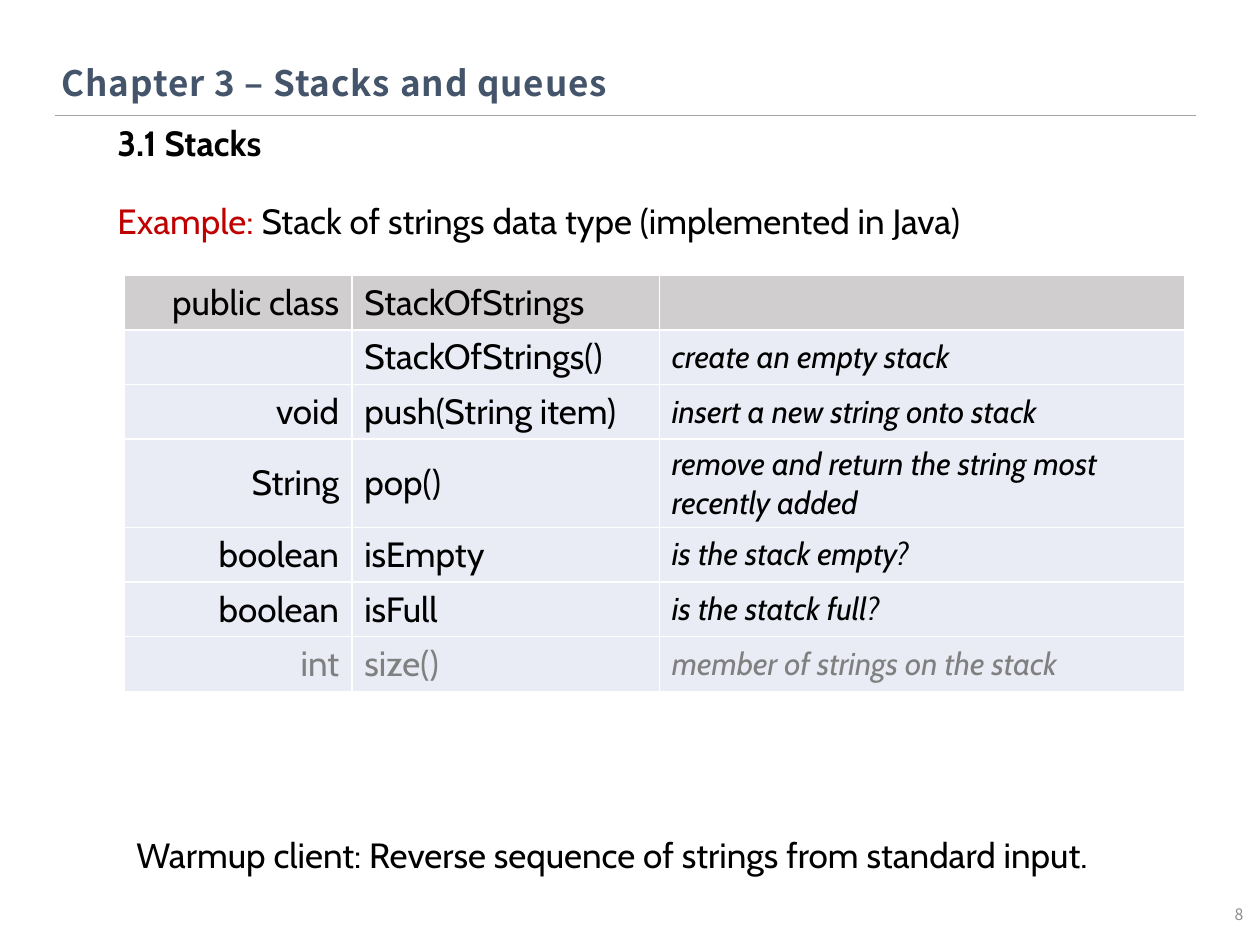
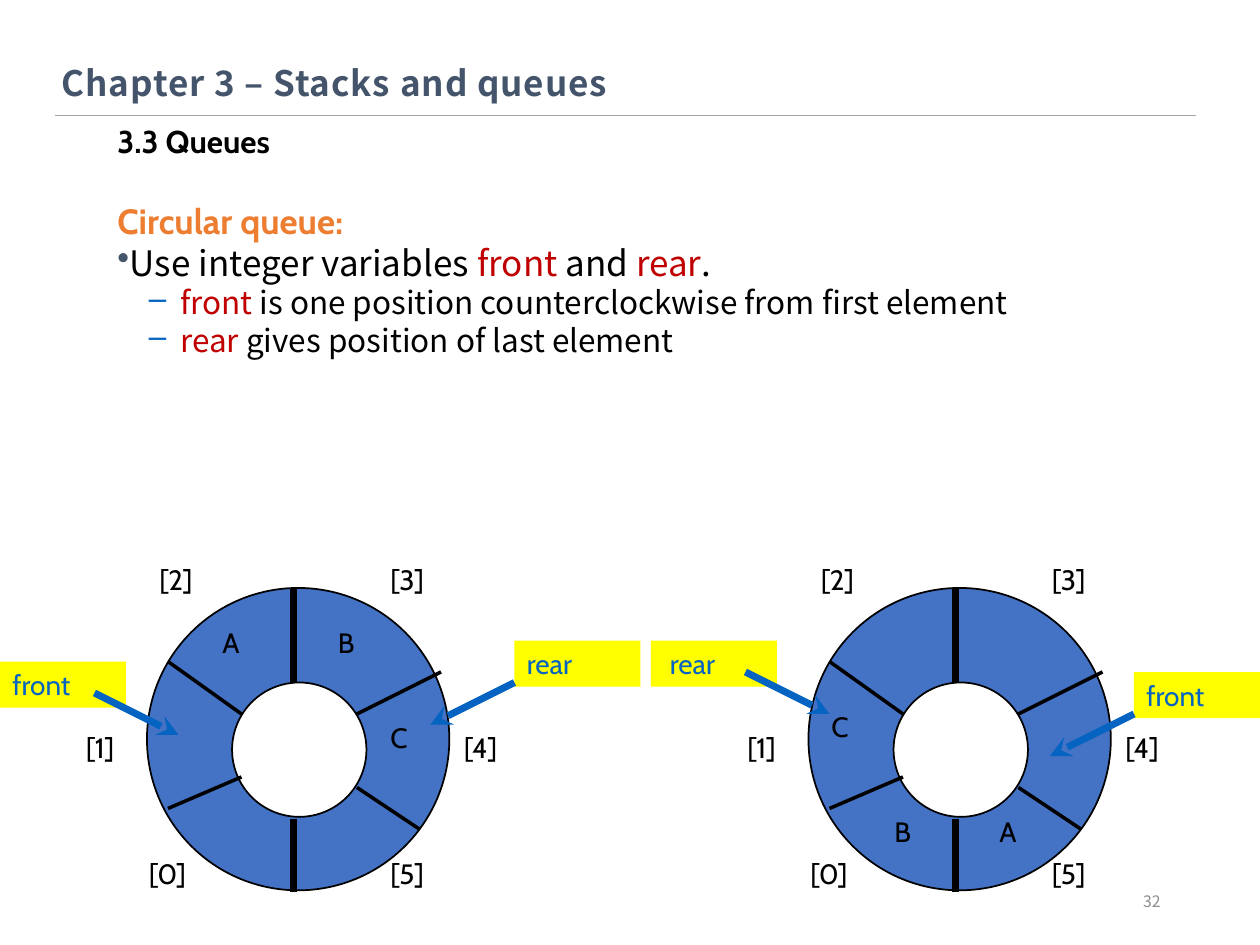
"""Build two slides on stacks and queues, laid out on a grid of 120 by 90 cells."""
import pptx
import pptx.dml.color
import pptx.enum.shapes
import pptx.enum.text
import pptx.oxml.ns
import pptx.util
from lxml import etree

COLUMNS, ROWS = 120, 90
CELL = pptx.util.Inches(10) // COLUMNS
COLOURS = {
    "text": "000000", "title": "44546A", "rule": "A5A5A5", "number": "8C8C8C",
    "key": "C00000", "topic": "ED7D31", "blue": "0563C1", "ring": "4472C4",
    "white": "FFFFFF", "tag": "FFFF00", "header": "D0CECE", "row": "E9EBF5",
    "faded": "808080",
}
BODY_FONT, TITLE_FONT = "Cabin", "Noto Sans CJK KR"
ALIGN = pptx.enum.text.PP_ALIGN
MIDDLE = pptx.enum.text.MSO_ANCHOR.MIDDLE
SHAPE = pptx.enum.shapes.MSO_SHAPE

API_ROWS = [
    ("public class", "StackOfStrings", ""),
    ("", "StackOfStrings()", "create an empty stack"),
    ("void", "push(String item)", "insert a new string onto stack"),
    ("String", "pop()", "remove and return the string most recently added"),
    ("boolean", "isEmpty", "is the stack empty?"),
    ("boolean", "isFull", "is the statck full?"),
    ("int", "size()", "member of strings on the stack"),
]
API_WIDTHS = (21.7, 29.3, 50)
RING_TOP = 56
THICK_SPOKES = [(14, 0, 14, 9), (14, 22, 14, 29)]
THIN_SPOKES = [(2, 7, 9, 12), (9, 18, 2, 21), (20, 12, 28, 8), (20, 19, 26, 23)]
SLOT_PLACES = [(-1, 25), (-7, 13), (0, -3), (22, -3), (29, 13), (22, 25)]


def cells(*counts):
    """Turn counts of grid cells into lengths."""
    return [pptx.util.Emu(round(count * CELL)) for count in counts]


def rgb(name):
    """Look up a named colour."""
    return pptx.dml.color.RGBColor.from_string(COLOURS[name])


def child(parent, tag, **attributes):
    """Append a DrawingML element with its attributes."""
    return etree.SubElement(parent, pptx.oxml.ns.qn(tag), attributes)


def write(paragraph, text, size=20, colour="text", font=BODY_FONT, bold=False,
          italic=False, spacing=0):
    """Add a formatted run to a paragraph."""
    run = paragraph.add_run()
    run.text = text
    run.font.size = pptx.util.Pt(size)
    run.font.name = font
    run.font.bold, run.font.italic = bold, italic
    run.font.color.rgb = rgb(colour)
    if spacing:
        run.font._element.set("spc", str(round(spacing * 100)))


def add_text(shapes, place, text="", wrap=True, align=ALIGN.LEFT, anchor=None, **style):
    """Add a text box and return its first paragraph."""
    frame = shapes.add_textbox(*cells(*place)).text_frame
    frame.word_wrap = wrap
    frame.vertical_anchor = anchor
    paragraph = frame.paragraphs[0]
    paragraph.alignment = align
    if text:
        write(paragraph, text, **style)
    return paragraph


def add_line(shapes, ends, colour="text", width=2, arrow=False):
    """Draw a straight line, with an arrowhead at its end if asked."""
    line = shapes.add_connector(pptx.enum.shapes.MSO_CONNECTOR.STRAIGHT, *cells(*ends))
    line.line.color.rgb = rgb(colour)
    line.line.width = pptx.util.Pt(width)
    if arrow:
        child(line.line._get_or_add_ln(), "a:tailEnd", type="stealth")
    child(line._element.spPr, "a:effectLst")


def add_filled(shapes, kind, place, fill, outlined=False):
    """Draw a flat filled shape."""
    shape = shapes.add_shape(kind, *cells(*place))
    shape.shadow.inherit = False
    shape.fill.solid()
    shape.fill.fore_color.rgb = rgb(fill)
    if outlined:
        shape.line.color.rgb = rgb("text")
        shape.line.width = pptx.util.Pt(1)
    else:
        shape.line.fill.background()
    return shape


def add_page(deck, number, number_place, section, section_size):
    """Add a slide with the chapter title, rule, section and number."""
    shapes = deck.slides.add_slide(deck.slide_layouts[6]).shapes
    add_text(shapes, number_place, number, size=9, colour="number", font=TITLE_FONT,
             align=ALIGN.RIGHT, anchor=MIDDLE)
    add_line(shapes, (5.2, 11, 113.9, 11), "rule", 0.5)
    add_text(shapes, (10, 11, 103, 5), section, size=section_size, bold=True)
    add_text(shapes, (4.7, 5.3, 114.8, 7.9), "Chapter 3 – Stacks and queues",
             colour="title", font=TITLE_FONT, bold=True, spacing=0.5)
    return shapes


def format_cell(cell, fill):
    """Fill a table cell and give it white borders."""
    cell.vertical_anchor = MIDDLE
    properties = cell._tc.get_or_add_tcPr()
    for side in ("a:lnL", "a:lnR", "a:lnT", "a:lnB"):
        border = child(properties, side, w=str(pptx.util.Pt(1)))
        child(child(border, "a:solidFill"), "a:srgbClr", val=COLOURS["white"])
    cell.fill.solid()
    cell.fill.fore_color.rgb = rgb(fill)


def add_api_table(shapes):
    """Add the table of stack operations."""
    place = cells(11.8, 26.2, sum(API_WIDTHS), 4.92 * len(API_ROWS))
    table = shapes.add_table(len(API_ROWS), len(API_WIDTHS), *place).table
    table.first_row = table.horz_banding = False
    for column, width in zip(table.columns, cells(*API_WIDTHS)):
        column.width = width
    for row, entries in enumerate(API_ROWS):
        colour = "faded" if entries[0] == "int" else "text"
        for column, entry in enumerate(entries):
            cell = table.cell(row, column)
            format_cell(cell, "row" if row else "header")
            paragraph = cell.text_frame.paragraphs[0]
            paragraph.alignment = ALIGN.LEFT if column else ALIGN.RIGHT
            if entry:
                remark = column == 2
                write(paragraph, entry, size=18 if remark else 20,
                      colour=colour, italic=remark)


def add_point(frame, mark, mark_colour, phrases, size, level=0):
    """Add a bulleted paragraph whose variable names stand out."""
    paragraph = frame.add_paragraph()
    paragraph.level = level
    properties = paragraph._p.get_or_add_pPr()
    properties.set("marL", str(pptx.util.Inches(0.5 * level)))
    properties.set("indent", str(pptx.util.Inches(-0.25 * level)))
    child(child(properties, "a:buClr"), "a:srgbClr", val=COLOURS[mark_colour])
    child(properties, "a:buChar", char=mark)
    for phrase in phrases:
        colour = "key" if phrase in ("front", "rear") else "text"
        write(paragraph, phrase, size=size, colour=colour, font=TITLE_FONT)


def add_ring(shapes, left, items):
    """Draw a circular queue of six slots with its items."""
    ring = shapes.add_group_shape().shapes
    add_filled(ring, SHAPE.OVAL, (left, RING_TOP, 28.8, 28.8), "ring", True)
    add_filled(ring, SHAPE.OVAL, (left + 8.1, RING_TOP + 9, 12.8, 12.8), "white", True)
    for width, spokes in ((4, THICK_SPOKES), (2, THIN_SPOKES)):
        for x1, y1, x2, y2 in spokes:
            add_line(ring, (left + x1, RING_TOP + y1, left + x2, RING_TOP + y2), width=width)
    slots = [(f"[{slot}]", *place, 11) for slot, place in enumerate(SLOT_PLACES)]
    letters = [(letter, *place, 8) for letter, place in items.items()]
    for label, x, y, width in slots + letters:
        add_text(ring, (left + x, RING_TOP + y, width, 4.4), label, size=16)


def add_pointer(shapes, name, corner, arrow, indent=0):
    """Draw a yellow name tag and its arrow into the ring."""
    pointer = shapes.add_group_shape().shapes
    tag = add_filled(pointer, SHAPE.RECTANGLE, (*corner, 12, 4.4), "tag")
    frame = tag.text_frame
    frame.vertical_anchor = pptx.enum.text.MSO_ANCHOR.TOP
    frame.margin_left = pptx.util.Inches(0.1 + indent)
    frame.paragraphs[0].alignment = ALIGN.LEFT
    write(frame.paragraphs[0], name, size=16, colour="blue")
    add_line(pointer, arrow, "blue", 4, arrow=True)


def build_stacks(deck):
    """Build the slide on the stack data type."""
    shapes = add_page(deck, "8", (109, 84.7, 10.6, 4.8), "3.1 Stacks", 20)
    example = add_text(shapes, (10, 18.4, 84.7, 5.3), "Example: ", wrap=False, colour="key")
    write(example, "Stack of strings data type (implemented in Java)")
    add_api_table(shapes)
    add_text(shapes, (11.8, 78.8, 101.2, 5.3),
             "Warmup client: Reverse sequence of strings from standard input.")


def build_queues(deck):
    """Build the slide on the circular queue."""
    shapes = add_page(deck, "32", (84.7, 83.4, 27, 4.8), "3.3 Queues", 18)
    add_text(shapes, (10, 18.4, 103.9, 22), "Circular queue:", colour="topic", bold=True)
    frame = shapes[-1].text_frame
    add_point(frame, "•", "title",
              ["Use integer variables ", "front", " and ", "rear", "."], 20)
    add_point(frame, "–", "blue",
              ["front", " is one position counterclockwise from first element"], 18, 1)
    add_point(frame, "–", "blue", ["rear", " gives position of last element"], 18, 1)
    add_ring(shapes, 14, {"A": (6, 3), "B": (17, 3), "C": (22, 12)})
    add_pointer(shapes, "front", (0, 63), (9, 66, 17, 70))
    add_pointer(shapes, "rear", (49, 61), (49, 65, 41, 69))
    add_ring(shapes, 77, {"A": (17, 21), "B": (7, 21), "C": (1, 11)})
    add_pointer(shapes, "front", (108, 64), (108, 68, 100, 72))
    add_pointer(shapes, "rear", (62, 61), (71, 64, 79, 68), indent=0.05)


def main():
    """Build and save the deck."""
    deck = pptx.Presentation()
    deck.slide_width, deck.slide_height = cells(COLUMNS, ROWS)
    build_stacks(deck)
    build_queues(deck)
    deck.save("out.pptx")


if __name__ == "__main__":
    main()
